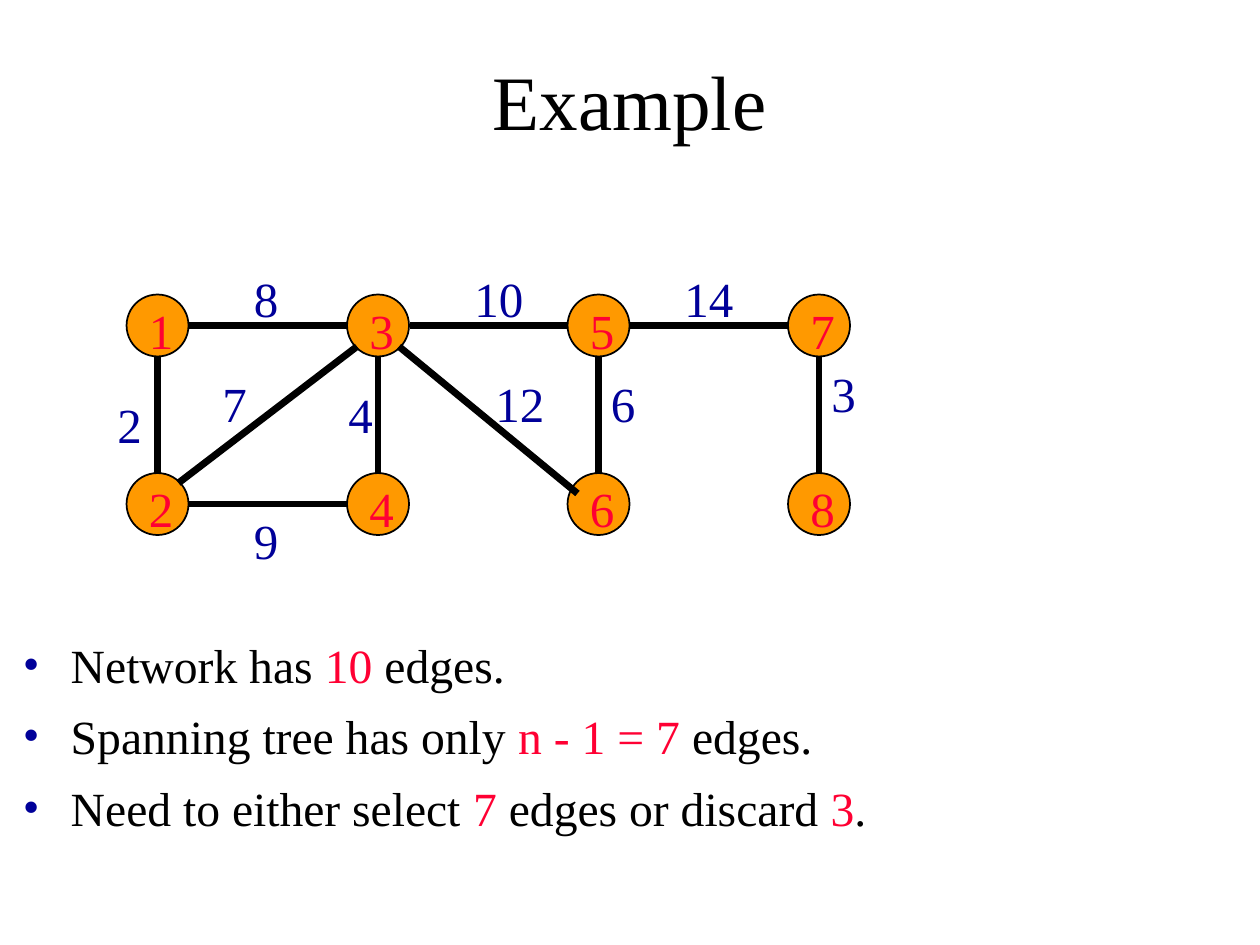
from dataclasses import dataclass

from lxml.etree import SubElement
from pptx import Presentation
from pptx.dml.color import RGBColor
from pptx.enum.shapes import MSO_CONNECTOR, MSO_SHAPE
from pptx.enum.text import MSO_ANCHOR, PP_ALIGN
from pptx.oxml.ns import qn
from pptx.util import Inches, Pt


@dataclass(frozen=True)
class Theme:
    font: str = "Times New Roman"
    black: RGBColor = RGBColor.from_string("000000")
    red: RGBColor = RGBColor.from_string("FF0033")
    blue: RGBColor = RGBColor.from_string("000099")
    orange: RGBColor = RGBColor.from_string("FF9900")
    title_size: float = 44
    body_size: float = 27.2
    label_size: float = 28
    bullet_gap: float = 8
    bullet_indent: float = 0.38
    outline: float = 1
    edge: float = 4


class GraphSlide:
    COLUMNS, ROWS = 120, 90

    def __init__(self, presentation, theme):
        self.theme = theme
        self.column = presentation.slide_width / self.COLUMNS
        self.row = presentation.slide_height / self.ROWS
        self.slide = presentation.slides.add_slide(presentation.slide_layouts[6])

    def place(self, left, top, width, height):
        return (round(left * self.column), round(top * self.row),
                round(width * self.column), round(height * self.row))

    def text_frame(self, *box):
        frame = self.slide.shapes.add_textbox(*self.place(*box)).text_frame
        frame.word_wrap = True
        return frame

    def run(self, paragraph, text, size, color):
        run = paragraph.add_run()
        run.text = text
        run.font.name = self.theme.font
        run.font.size = Pt(size)
        run.font.color.rgb = color

    def title(self, text, *box):
        frame = self.text_frame(*box)
        frame.vertical_anchor = MSO_ANCHOR.MIDDLE
        paragraph = frame.paragraphs[0]
        paragraph.alignment = PP_ALIGN.CENTER
        self.run(paragraph, text, self.theme.title_size, self.theme.black)

    def label(self, text, color, left, top, width):
        frame = self.text_frame(left, top, width, 6.84)
        self.run(frame.paragraphs[0], text, self.theme.label_size, color)

    def node(self, name, center, diameter=5.9):
        x, y = center
        box = self.place(x - diameter / 2, y - diameter / 2, diameter, diameter)
        shape = self.slide.shapes.add_shape(MSO_SHAPE.OVAL, *box)
        shape.shadow.inherit = False
        shape.fill.solid()
        shape.fill.fore_color.rgb = self.theme.orange
        shape.line.color.rgb = self.theme.black
        shape.line.width = Pt(self.theme.outline)
        self.label(name, self.theme.red, x - 2, y - 3, 3)

    def edge(self, start, end):
        connector = self.slide.shapes.add_connector(
            MSO_CONNECTOR.STRAIGHT, *self.place(*start, *end))
        connector.line.color.rgb = self.theme.black
        connector.line.width = Pt(self.theme.edge)
        SubElement(connector._element.spPr, qn("a:effectLst"))

    def bullets(self, items, *box):
        frame = self.text_frame(*box)
        indent = Inches(self.theme.bullet_indent)
        for index, item in enumerate(items):
            paragraph = frame.add_paragraph() if index else frame.paragraphs[0]
            paragraph.space_before = Pt(self.theme.bullet_gap)
            properties = paragraph._p.get_or_add_pPr()
            properties.set("marL", str(indent))
            properties.set("indent", str(-indent))
            color = SubElement(properties, qn("a:buClr"))
            SubElement(color, qn("a:srgbClr"), val=str(self.theme.blue))
            SubElement(properties, qn("a:buFont"), typeface=self.theme.font)
            SubElement(properties, qn("a:buChar"), char="•")
            for position, text in enumerate(item):
                color = self.theme.red if position % 2 else self.theme.black
                self.run(paragraph, text, self.theme.body_size, color)


UPPER, LOWER, SPACING = 31, 48, 21
NODES = {name: (15 + SPACING * index, row)
         for row, names in ((UPPER, "1357"), (LOWER, "2468"))
         for index, name in enumerate(names)}

TOP, BOTTOM, LEFT, RIGHT = (0, -3), (0, 3), (-3, 0), (3, 0)
UPPER_RIGHT, LOWER_LEFT, LOWER_RIGHT = (2, -2), (-2, 2), (2, 2)
INNER_LEFT = (-2, -1)

EDGES = (
    ("1", BOTTOM, "2", TOP),
    ("3", BOTTOM, "4", TOP),
    ("5", BOTTOM, "6", TOP),
    ("7", BOTTOM, "8", TOP),
    ("1", RIGHT, "3", LEFT),
    ("3", RIGHT, "5", LEFT),
    ("5", RIGHT, "7", LEFT),
    ("2", RIGHT, "4", LEFT),
    ("2", UPPER_RIGHT, "3", LOWER_LEFT),
    ("3", LOWER_RIGHT, "6", INNER_LEFT),
)

WEIGHTS = (
    ("2", 10, 37), ("4", 32, 36), ("6", 57, 35), ("3", 78, 34),
    ("8", 23, 25), ("10", 44, 25), ("14", 64, 25),
    ("12", 46, 35), ("7", 20, 35), ("9", 23, 48),
)

FACTS = (
    ("Network has ", "10 ", "edges."),
    ("Spanning tree has only ", "n - 1 = 7", " edges."),
    ("Need to either select ", "7 ", "edges or discard ", "3", "."),
)


def shifted(name, offset):
    return tuple(center + step for center, step in zip(NODES[name], offset))


def main():
    presentation = Presentation()
    presentation.slide_width = Inches(10)
    presentation.slide_height = Inches(7.5)
    theme = Theme()
    graph = GraphSlide(presentation, theme)
    graph.title("Example", 9, 2, 102, 15)
    graph.bullets(FACTS, 1, 60, 102, 21)
    for name, center in NODES.items():
        graph.node(name, center)
    for start, start_side, end, end_side in EDGES:
        graph.edge(shifted(start, start_side), shifted(end, end_side))
    for weight, left, top in WEIGHTS:
        graph.label(weight, theme.blue, left, top, 4 if len(weight) == 1 else 10)
    presentation.save("out.pptx")


if __name__ == "__main__":
    main()
